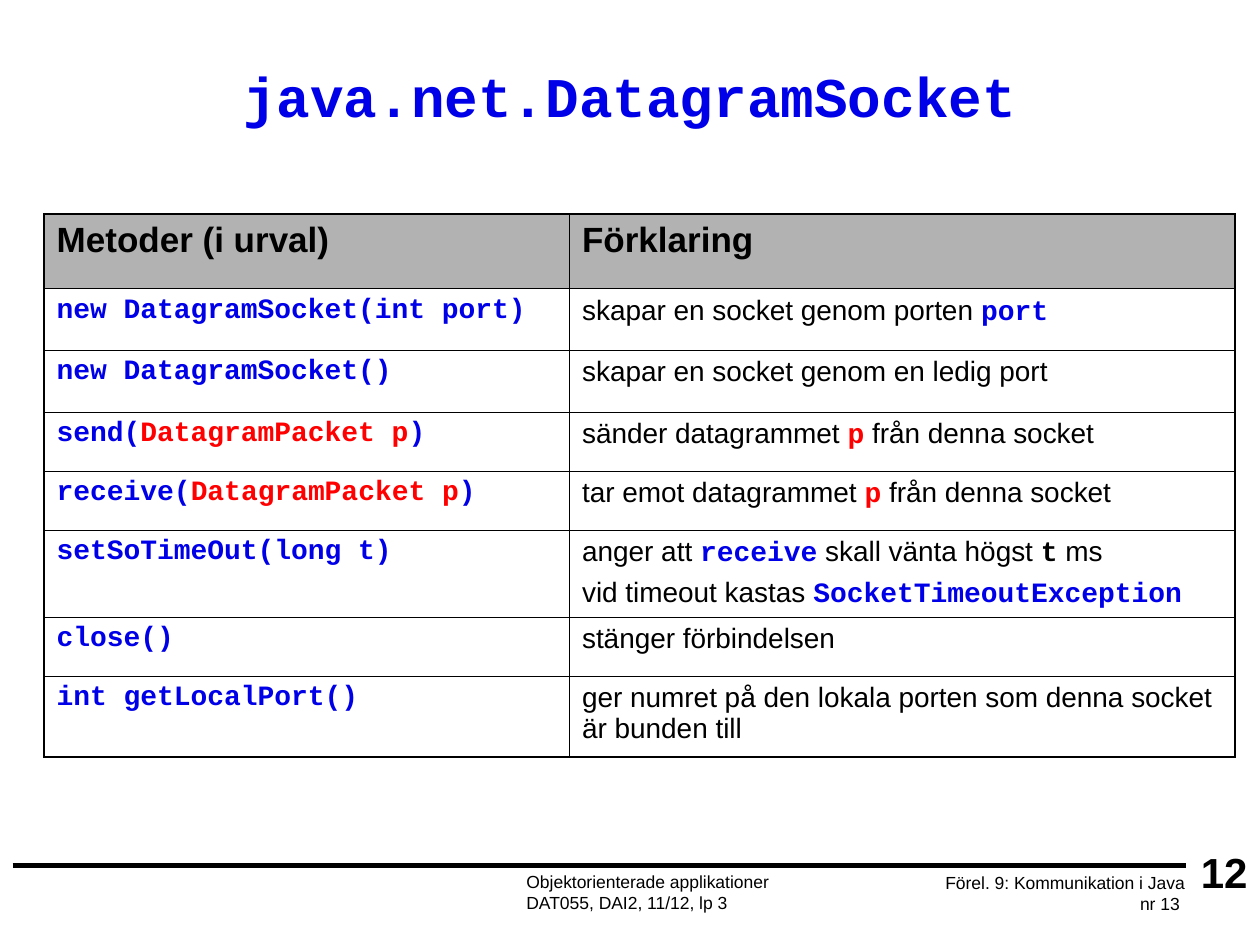
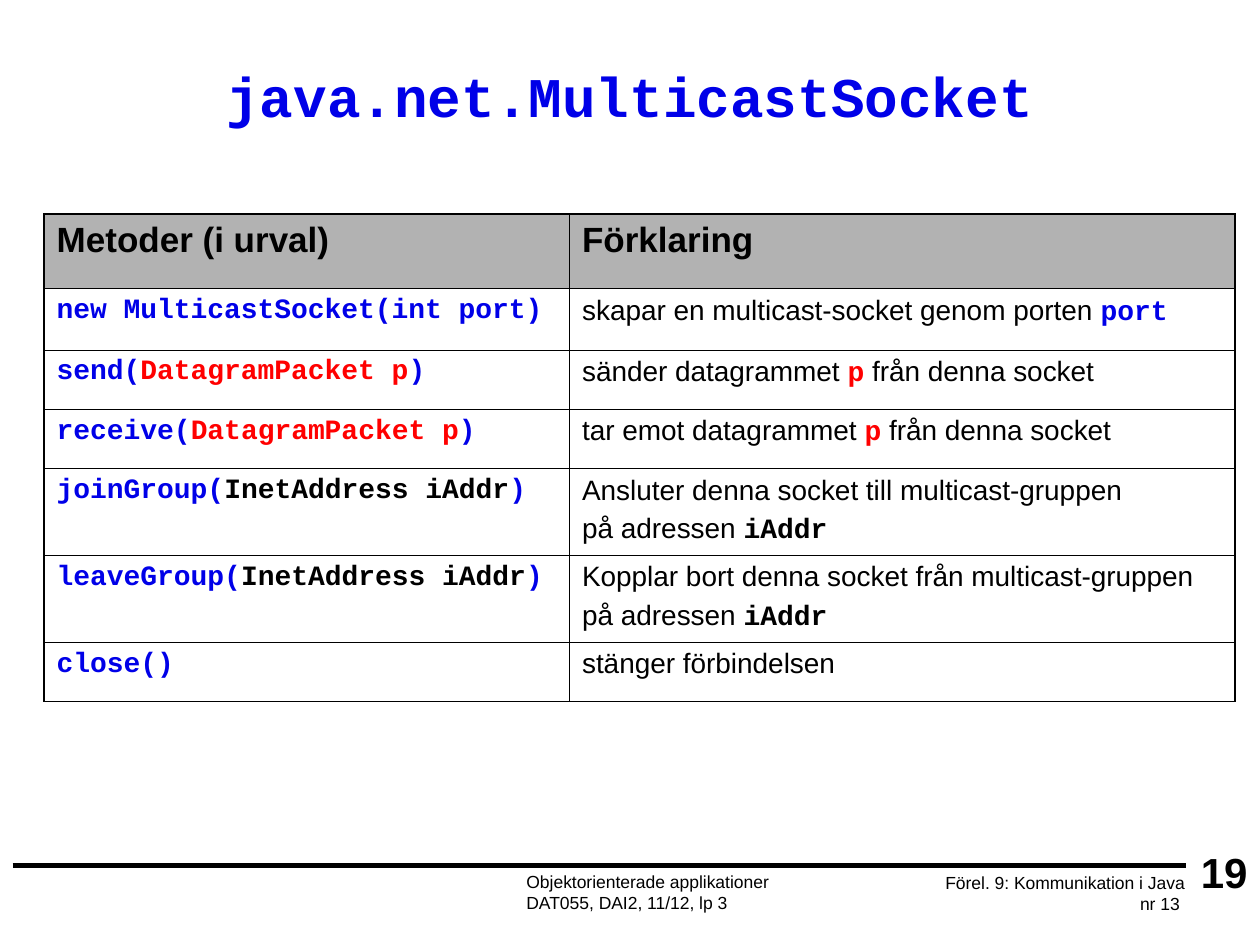
from lxml.etree import SubElement
from pptx import Presentation
from pptx.dml.color import RGBColor
from pptx.enum.shapes import MSO_CONNECTOR
from pptx.enum.text import MSO_ANCHOR, PP_ALIGN
from pptx.oxml.ns import qn
from pptx.util import Inches, Pt

BLACK, BLUE, RED, GREY = "000000", "0000E8", "FF0000", "B2B2B2"
SANS, MONO = "Arial", "Courier New"
THIN, THICK = 0.45, 1.08

# Run styles: font, colour, bold
PLAIN = (SANS, BLACK, False)
STRONG = (SANS, BLACK, True)
CODE = (MONO, BLUE, True)
CODE_RED = (MONO, RED, True)
CODE_BLACK = (MONO, BLACK, True)

TABLE_BOX = (0.35, 1.7, 9.45)
COLUMN_WIDTHS = (4.17, 5.28)
HEADER_HEIGHT = 0.59
TALL, NORMAL, TWO_LINES, WRAPPED = 0.49, 0.47, 0.69, 0.64


def color(hex_string):
    return RGBColor.from_string(hex_string)


def add_runs(paragraph, runs, size):
    for text, (font_name, font_color, bold) in runs:
        run = paragraph.add_run()
        run.text = text
        run.font.name = font_name
        run.font.size = Pt(size)
        run.font.bold = bold
        run.font.color.rgb = color(font_color)


def fill_text(text_frame, paragraphs, size, align=PP_ALIGN.LEFT, space_before=0):
    for index, runs in enumerate(paragraphs):
        if index == 0:
            paragraph = text_frame.paragraphs[0]
        else:
            paragraph = text_frame.add_paragraph()
            paragraph.space_before = Pt(space_before)
        paragraph.alignment = align
        add_runs(paragraph, runs, size)


def add_text(slide, box, paragraphs, size, align=PP_ALIGN.LEFT):
    shape = slide.shapes.add_textbox(*map(Inches, box))
    text_frame = shape.text_frame
    text_frame.word_wrap = True
    text_frame.vertical_anchor = MSO_ANCHOR.MIDDLE
    fill_text(text_frame, paragraphs, size, align)
    return text_frame


def add_title(slide, box, title):
    text_frame = add_text(slide, box, [[(title, CODE)]], 32, PP_ALIGN.CENTER)
    text_frame.paragraphs[0].line_spacing = 1.2


def add_footer(slide, box, number):
    left, top, width, height = box
    # Rule above the footer
    rule = slide.shapes.add_connector(
        MSO_CONNECTOR.STRAIGHT, Inches(left + 0.1), Inches(top + 0.2),
        Inches(left + width - 0.59), Inches(top + 0.2))
    rule.line.color.rgb = color(BLACK)
    rule.line.width = Pt(3)
    SubElement(rule._element.spPr, qn("a:effectLst"))
    # Course, lecture and slide number
    add_text(slide, (left + 4.08, top + 0.16, 2.67, 0.5),
             [[("Objektorienterade applikationer", PLAIN)],
              [("DAT055, DAI2, 11/12, lp 3", PLAIN)]], 10)
    add_text(slide, (left + 6.83, top + 0.17, 2.67, 0.5),
             [[("Förel. 9: Kommunikation i Java", PLAIN)],
              [("nr 13 ", PLAIN)]], 10, PP_ALIGN.RIGHT)
    add_text(slide, (left + width - 0.58, top, 0.58, 0.5),
             [[(str(number), STRONG)]], 24, PP_ALIGN.RIGHT)


def set_borders(cell, widths):
    properties = cell._tc.get_or_add_tcPr()
    for side, width in zip("LRTB", widths):
        line = SubElement(properties, qn(f"a:ln{side}"), w=str(Pt(width)))
        fill = SubElement(line, qn("a:solidFill"))
        SubElement(fill, qn("a:srgbClr"), val=BLACK)


def add_method_table(slide, box, methods):
    left, top, width = box
    header = (HEADER_HEIGHT, [("Metoder (i urval)", STRONG)],
              [[("Förklaring", STRONG)]])
    rows = [header, *methods]
    total_height = sum(row[0] for row in rows)
    table = slide.shapes.add_table(
        len(rows), 2, Inches(left), Inches(top),
        Inches(width), Inches(total_height)).table
    table.first_row = False
    table.horz_banding = False
    for column, column_width in zip(table.columns, COLUMN_WIDTHS):
        column.width = Inches(column_width)

    last = len(rows) - 1
    for row_index, (height, method, explanation) in enumerate(rows):
        table.rows[row_index].height = Inches(height)
        is_header = row_index == 0
        # Thick frame and thick lines round the header, thin lines inside
        above = THICK if row_index <= 1 else THIN
        below = THICK if row_index in (0, last) else THIN
        for column_index, paragraphs in enumerate(([method], explanation)):
            cell = table.cell(row_index, column_index)
            sides = (THICK, THIN) if column_index == 0 else (THIN, THICK)
            set_borders(cell, (*sides, above, below))
            if is_header:
                cell.fill.solid()
                cell.fill.fore_color.rgb = color(GREY)
            else:
                cell.fill.background()
            fill_text(cell.text_frame, paragraphs, 20 if is_header else 16,
                      space_before=4)


def call(name, parameter, style):
    return [(f"{name}(", CODE), (parameter, style), (")", CODE)]


def packet_sentence(start):
    return [[(start, PLAIN), ("p", CODE_RED), (" från denna socket", PLAIN)]]


def group_sentence(start):
    return [[(f"{start} multicast-gruppen", PLAIN)],
            [("på adressen ", PLAIN), ("iAddr", CODE_BLACK)]]


# Rows that both classes have: height, method, explanation
PACKET_METHODS = [
    (NORMAL, call("send", "DatagramPacket p", CODE_RED),
     packet_sentence("sänder datagrammet ")),
    (NORMAL, call("receive", "DatagramPacket p", CODE_RED),
     packet_sentence("tar emot datagrammet ")),
]
CLOSE_METHOD = (NORMAL, [("close()", CODE)], [[("stänger förbindelsen", PLAIN)]])

DATAGRAM_METHODS = [
    (TALL, [("new DatagramSocket(int port)", CODE)],
     [[("skapar en socket genom porten ", PLAIN), ("port", CODE)]]),
    (TALL, [("new DatagramSocket()", CODE)],
     [[("skapar en socket genom en ledig port", PLAIN)]]),
    *PACKET_METHODS,
    (TWO_LINES, [("setSoTimeOut(long t)", CODE)],
     [[("anger att ", PLAIN), ("receive", CODE), (" skall vänta högst ", PLAIN),
       ("t", CODE_BLACK), (" ms", PLAIN)],
      [("vid timeout kastas ", PLAIN), ("SocketTimeoutException", CODE)]]),
    CLOSE_METHOD,
    (WRAPPED, [("int getLocalPort()", CODE)],
     [[("ger numret på den lokala porten som denna socket är bunden till", PLAIN)]]),
]

MULTICAST_METHODS = [
    (TALL, [("new MulticastSocket(int port)", CODE)],
     [[("skapar en multicast-socket genom porten ", PLAIN), ("port", CODE)]]),
    *PACKET_METHODS,
    (TWO_LINES, call("joinGroup", "InetAddress iAddr", CODE_BLACK),
     group_sentence("Ansluter denna socket till")),
    (TWO_LINES, call("leaveGroup", "InetAddress iAddr", CODE_BLACK),
     group_sentence("Kopplar bort denna socket från")),
    CLOSE_METHOD,
]


def add_class_slide(presentation, title, methods, number):
    slide = presentation.slides.add_slide(presentation.slide_layouts[6])
    add_footer(slide, (0, 6.67, 10, 0.83), number)
    add_title(slide, (0, 0.33, 10, 0.75), title)
    add_method_table(slide, TABLE_BOX, methods)


def main():
    presentation = Presentation()
    presentation.slide_width = Inches(10)
    presentation.slide_height = Inches(7.5)
    add_class_slide(presentation, "java.net.DatagramSocket", DATAGRAM_METHODS, 12)
    add_class_slide(presentation, "java.net.MulticastSocket", MULTICAST_METHODS, 19)
    presentation.save("out.pptx")


if __name__ == "__main__":
    main()
